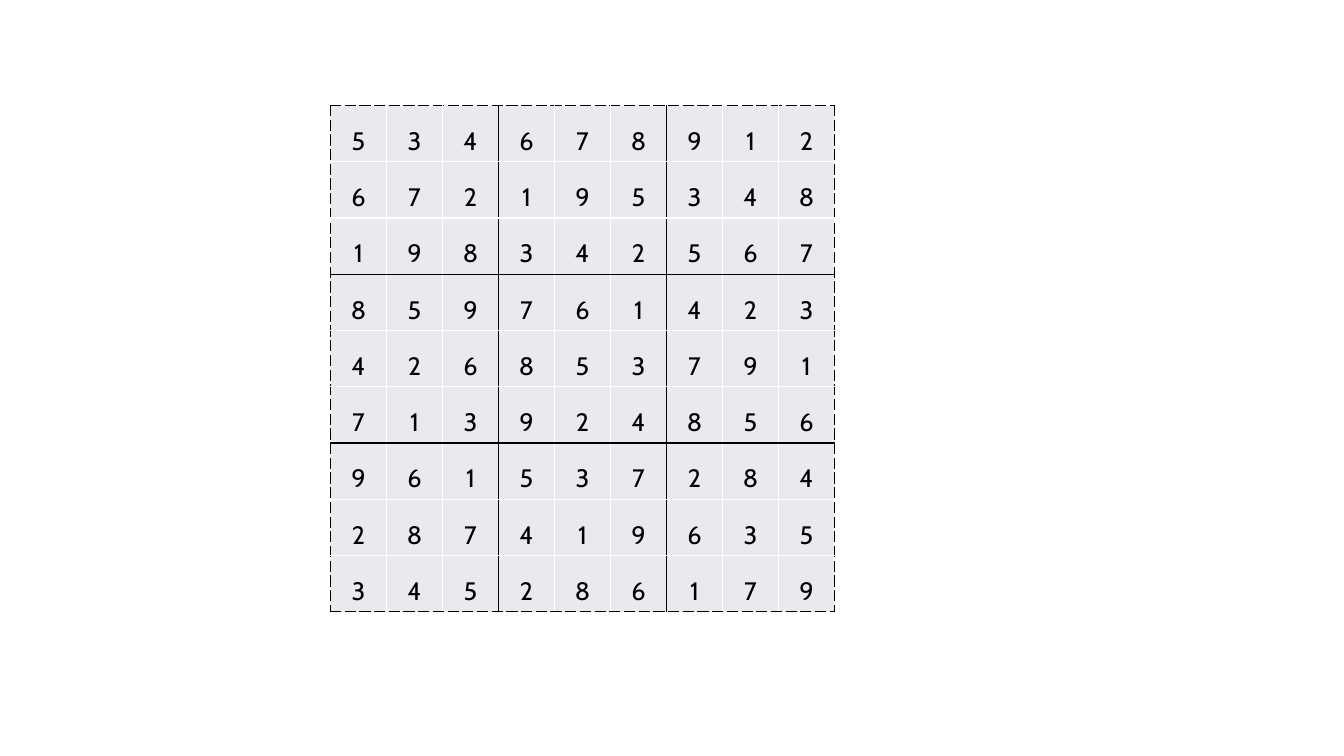
from lxml import etree
from pptx import Presentation
from pptx.dml.color import RGBColor
from pptx.enum.text import MSO_ANCHOR, PP_ALIGN
from pptx.oxml.ns import qn
from pptx.util import Cm, Pt

CENTER = PP_ALIGN.CENTER
MIDDLE = MSO_ANCHOR.MIDDLE

THEME = {
    "font": "Cabin",
    "digit_size": Pt(18),
    "line_width": Pt(1),
    "digit": "000000",
    "cell": "E8EAED",
    "block_line": "000000",
    "grid_line": "FFFFFF",
}

SOLUTION = [
    "534678912",
    "672195348",
    "198342567",
    "859761423",
    "426853791",
    "713924856",
    "961537284",
    "287419635",
    "345286179",
]
COUNT = len(SOLUTION)
BLOCK = 3
LEFT, TOP, SIDE = Cm(8.33), Cm(2.66), Cm(12.7)


def add_border(cell, side, index):
    ln = etree.SubElement(cell._tc.get_or_add_tcPr(), qn(f"a:ln{side}"), w=str(THEME["line_width"]))
    color = THEME["grid_line"] if index % BLOCK else THEME["block_line"]
    fill = etree.SubElement(ln, qn("a:solidFill"))
    etree.SubElement(fill, qn("a:srgbClr"), val=color)
    dash = "sysDash" if index in (0, COUNT) else "solid"
    etree.SubElement(ln, qn("a:prstDash"), val=dash)


prs = Presentation()
prs.slide_width, prs.slide_height = Cm(33.87), Cm(19.05)
s = prs.slides.add_slide(prs.slide_layouts[6])

table = s.shapes.add_table(COUNT, COUNT, LEFT, TOP, SIDE, SIDE).table
table.first_row = False
table.horz_banding = False

font_format = {"name": THEME["font"], "size": THEME["digit_size"], "bold": False}

for row, digits in enumerate(SOLUTION):
    for col, digit in enumerate(digits):
        cell = table.cell(row, col)
        for side, index in (("L", col), ("R", col + 1), ("T", row), ("B", row + 1)):
            add_border(cell, side, index)
        cell.fill.solid()
        cell.fill.fore_color.rgb = RGBColor.from_string(THEME["cell"])
        cell.vertical_anchor = MIDDLE
        p = cell.text_frame.paragraphs[0]
        p.alignment = CENTER
        p.line_spacing = 1.5
        r = p.add_run()
        r.text = digit
        for name, value in font_format.items():
            setattr(r.font, name, value)
        r.font.color.rgb = RGBColor.from_string(THEME["digit"])

prs.save("out.pptx")
